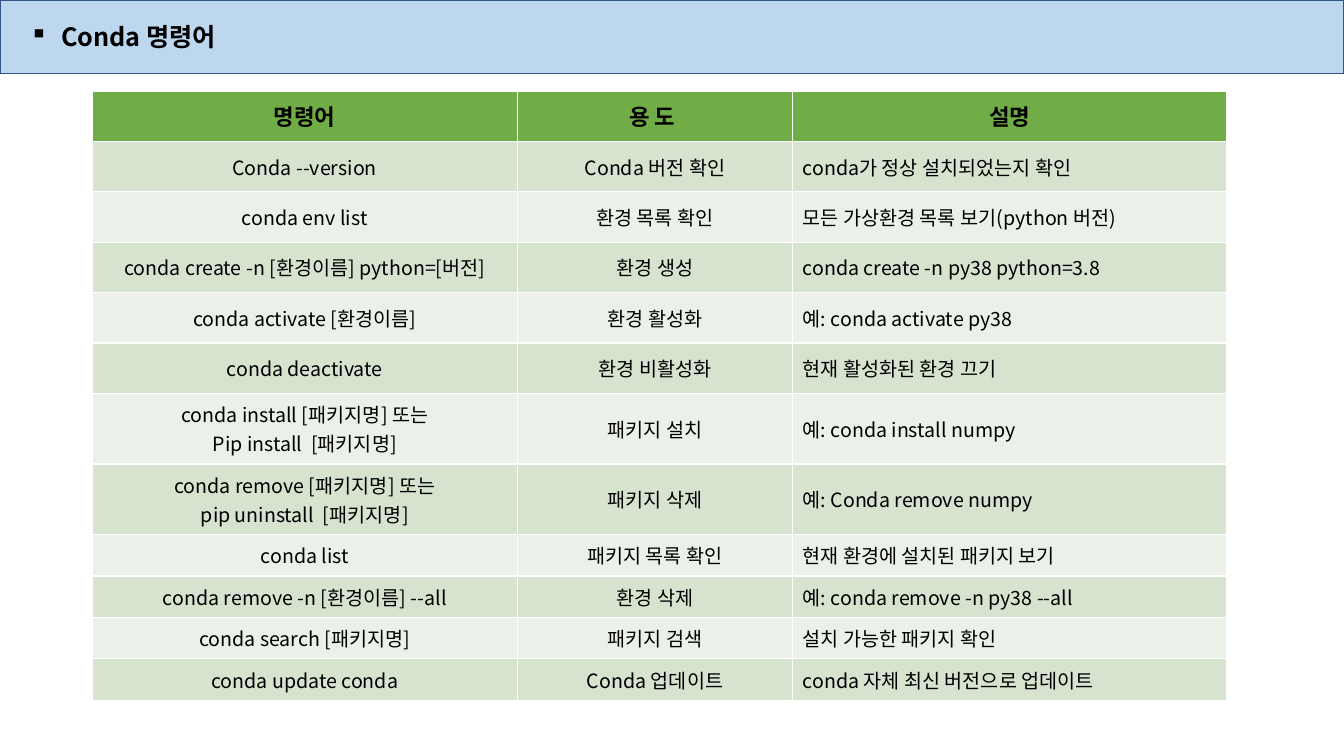
import pptx
import pptx.util
import pptx.dml.color
import pptx.enum.shapes
import pptx.enum.text
import pptx.oxml.ns
import lxml.etree

Pt = pptx.util.Pt
RGB = pptx.dml.color.RGBColor
ALIGN = pptx.enum.text.PP_ALIGN
MIDDLE = pptx.enum.text.MSO_ANCHOR.MIDDLE

BLACK = RGB(0x00, 0x00, 0x00)
SKY = RGB(0xBD, 0xD7, 0xEE)
NAVY = RGB(0x32, 0x54, 0x91)
GREEN = RGB(0x70, 0xAD, 0x47)
BANDS = (RGB(0xD5, 0xE3, 0xCF), RGB(0xEB, 0xF1, 0xE9))

FACE = "Noto Sans CJK KR"
TITLE = {"name": FACE, "size": Pt(18), "bold": True}
HEAD = {"name": FACE, "size": Pt(16), "bold": True}
BODY = {"name": FACE, "size": Pt(14), "bold": False}

COLS = (303.8, 196.6, 310.3)
ALIGNS = (ALIGN.CENTER, ALIGN.CENTER, ALIGN.LEFT)
HEIGHTS = [36] * 6 + [50.4] * 2 + [29.6] * 4
ROWS = (
    ("명령어", "용 도 ", "설명"),
    ("Conda --version", "Conda 버전 확인", "conda가 정상 설치되었는지 확인"),
    ("conda env list", "환경 목록 확인", "모든 가상환경 목록 보기(python 버전)"),
    ("conda create -n [환경이름] python=[버전]", "환경 생성",
     "conda create -n py38 python=3.8"),
    ("conda activate [환경이름]", "환경 활성화", "예: conda activate py38"),
    ("conda deactivate", "환경 비활성화", "현재 활성화된 환경 끄기"),
    ("conda install [패키지명] 또는\nPip install  [패키지명]", "패키지 설치",
     "예: conda install numpy"),
    ("conda remove [패키지명] 또는\npip uninstall  [패키지명]", "패키지 삭제",
     "예: Conda remove numpy"),
    ("conda list", "패키지 목록 확인", "현재 환경에 설치된 패키지 보기"),
    ("conda remove -n [환경이름] --all", "환경 삭제",
     "예: conda remove -n py38 --all"),
    ("conda search [패키지명]", "패키지 검색", "설치 가능한 패키지 확인"),
    ("conda update conda", "Conda 업데이트", "conda 자체 최신 버전으로 업데이트"),
)


def add_tag(parent, tag, **values):
    return lxml.etree.SubElement(parent, pptx.oxml.ns.qn(tag), values)


def write(frame, text, style, align):
    frame.text = text
    for para in frame.paragraphs:
        para.alignment = align
        for run in para.runs:
            for key, value in style.items():
                setattr(run.font, key, value)
            run.font.color.rgb = BLACK
            add_tag(run.font._element, "a:ea", typeface=FACE)


def draw_title(slide, left, top, width, height):
    bar = slide.shapes.add_shape(
        pptx.enum.shapes.MSO_SHAPE.RECTANGLE,
        Pt(left), Pt(top), Pt(width), Pt(height))
    bar.shadow.inherit = False
    bar.fill.solid()
    bar.fill.fore_color.rgb = SKY
    bar.line.color.rgb = NAVY
    bar.line.width = Pt(1)
    frame = bar.text_frame
    frame.vertical_anchor = MIDDLE
    write(frame, "Conda 명령어", TITLE, ALIGN.LEFT)
    props = frame.paragraphs[0]._p.get_or_add_pPr()
    props.set("marL", str(Pt(36.5)))
    props.set("indent", str(Pt(-22.5)))
    add_tag(props, "a:buChar", char="▪")


def draw_table(slide, left, top):
    """Fill the command table; white rules come from the default table style."""
    table = slide.shapes.add_table(
        len(ROWS), len(COLS), Pt(left), Pt(top),
        Pt(sum(COLS)), Pt(sum(HEIGHTS))).table
    for col, width in zip(table.columns, COLS):
        col.width = Pt(width)
    for i, (row, height, texts) in enumerate(zip(table.rows, HEIGHTS, ROWS)):
        row.height = Pt(height)
        for cell, text, align in zip(row.cells, texts, ALIGNS):
            cell.vertical_anchor = MIDDLE
            cell.fill.solid()
            cell.fill.fore_color.rgb = BANDS[(i - 1) % 2] if i else GREEN
            write(cell.text_frame, text, BODY if i else HEAD,
                  align if i else ALIGN.CENTER)


def main():
    deck = pptx.Presentation()
    deck.slide_width, deck.slide_height = Pt(960), Pt(540)
    slide = deck.slides.add_slide(deck.slide_layouts[6])
    draw_title(slide, 0, 0, 960, 52.5)
    draw_table(slide, 65.8, 65)
    deck.save("out.pptx")


if __name__ == "__main__":
    main()
